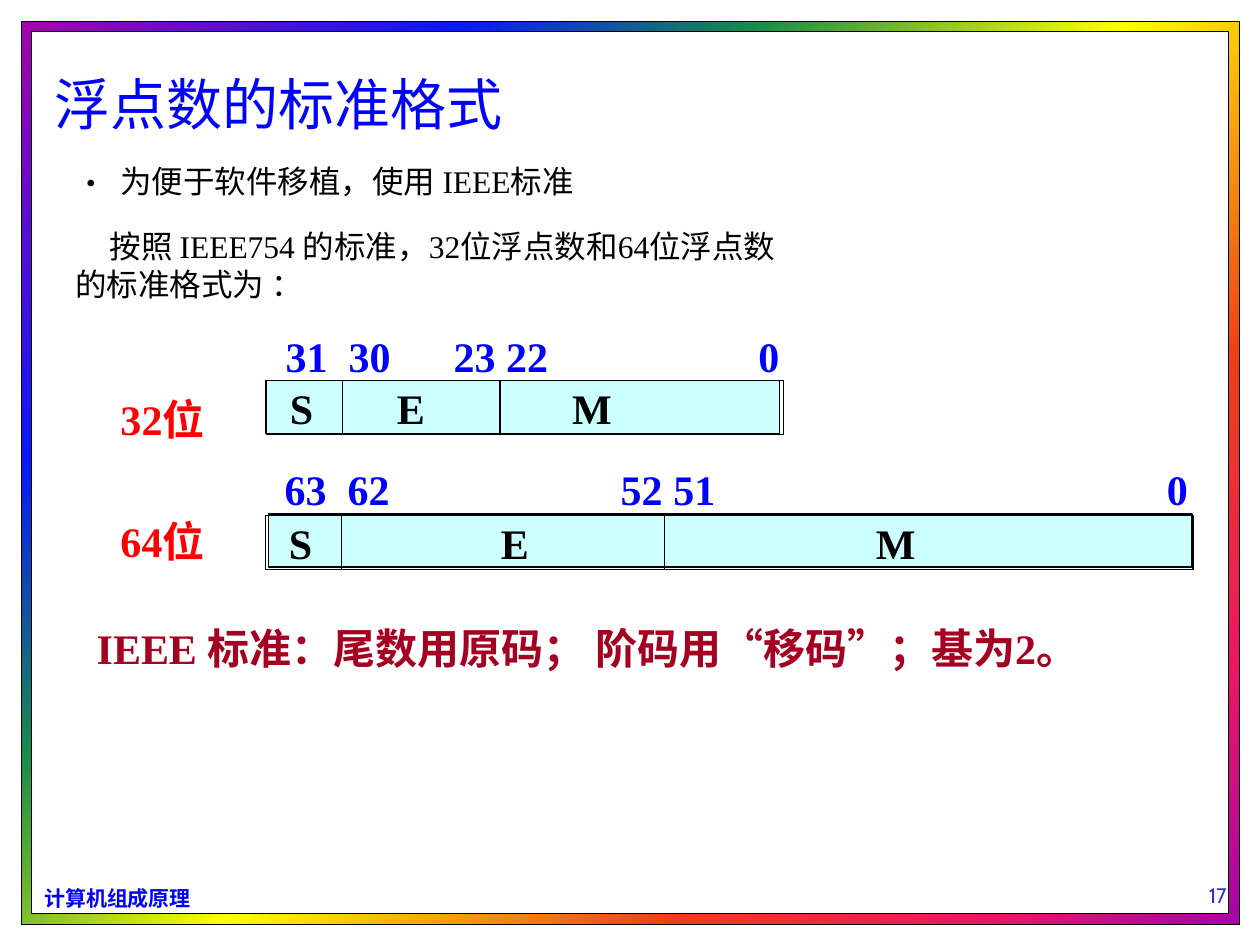
from dataclasses import dataclass

from lxml import etree
from pptx import Presentation
from pptx import util as u
from pptx.dml.color import RGBColor
from pptx.enum import shapes, text
from pptx.oxml.ns import qn

HUES = {"black": "000000", "white": "FFFFFF", "blue": "0000FF",
        "page": "3333CC", "red": "FF0000", "wine": "A50021", "cyan": "CCFFFF"}
RAINBOW = ((0, "A603AB"), (21, "0819FB"), (35, "1A8D48"), (52, "FFFF00"),
           (73, "EE3F17"), (88, "E81766"), (100, "A603AB"))
SERIF, SANS = "Times New Roman", "Noto Sans CJK SC"
STEP = 0.2117  # cm, a quarter of the 24 pt size


@dataclass
class Spot:
    x: float
    y: float
    w: float
    h: float


@dataclass
class Style:
    size: int
    hue: str
    bold: bool = False
    face: str = SERIF


@dataclass
class Mark:
    col: float
    word: str


@dataclass
class Format:
    name: str
    tag: Spot
    fill: Spot
    edge: Spot
    bits: Spot
    cuts: tuple[float, ...]
    nums: tuple[Mark, ...]
    fields: tuple[Mark, ...]


def rgb(hue: str) -> RGBColor:
    return RGBColor.from_string(HUES[hue])


def place(s: Spot) -> tuple:
    return tuple(u.Cm(v) for v in (s.x, s.y, s.w, s.h))


def add_box(slide, spot: Spot, wrap: bool = True):
    frame = slide.shapes.add_textbox(*place(spot)).text_frame
    frame.word_wrap = wrap
    return frame


def add_run(para, words: str, style: Style) -> None:
    run = para.add_run()
    run.text = words
    font = run.font
    font.size, font.bold, font.name = u.Pt(style.size), style.bold, style.face
    font.color.rgb = rgb(style.hue)
    east = etree.SubElement(run._r.get_or_add_rPr(), qn("a:ea"))
    east.set("typeface", SANS)


def add_rect(slide, spot: Spot, hue: str | None = None):
    rect = slide.shapes.add_shape(shapes.MSO_SHAPE.RECTANGLE, *place(spot))
    rect.shadow.inherit = False
    rect.line.color.rgb, rect.line.width = rgb("black"), u.Pt(0.75)
    if hue:
        rect.fill.solid()
        rect.fill.fore_color.rgb = rgb(hue)
    else:
        rect.fill.background()
    return rect


def add_frame(slide) -> None:
    """Draw the rainbow border and the white page inside it."""
    rim = add_rect(slide, Spot(0.43, 0.43, 24.56, 18.21))
    rim.fill.gradient()
    rim.fill.gradient_angle = 315
    stops = rim._element.spPr.find(qn("a:gradFill")).find(qn("a:gsLst"))
    for old in list(stops):
        stops.remove(old)
    for pos, hue in RAINBOW:
        stop = etree.SubElement(stops, qn("a:gs"), pos=str(pos * 1000))
        etree.SubElement(stop, qn("a:srgbClr"), val=hue)
    add_rect(slide, Spot(0.64, 0.64, 24.13, 17.78), "white")


def add_marks(para, marks: tuple[Mark, ...], style: Style) -> None:
    """Set each word at its own tab stop, counted in steps."""
    stops = etree.SubElement(para._p.get_or_add_pPr(), qn("a:tabLst"))
    for mark in marks:
        if mark.col:
            etree.SubElement(stops, qn("a:tab"), algn="l",
                             pos=str(int(u.Cm(mark.col * STEP))))
        add_run(para, "\t" + mark.word if mark.col else mark.word, style)


def add_cut(slide, x: float, edge: Spot) -> None:
    line = slide.shapes.add_connector(
        shapes.MSO_CONNECTOR.STRAIGHT, u.Cm(x), u.Cm(edge.y),
        u.Cm(x), u.Cm(edge.y + edge.h))
    line.line.color.rgb, line.line.width = rgb("black"), u.Pt(0.75)
    etree.SubElement(line._element.spPr, qn("a:effectLst"))


def add_format(slide, form: Format) -> None:
    add_rect(slide, form.fill, "cyan")
    frame = add_rect(slide, form.edge).text_frame
    frame.margin_top = frame.margin_bottom = 0
    frame.vertical_anchor = text.MSO_ANCHOR.MIDDLE
    para = frame.paragraphs[0]
    para.alignment = text.PP_ALIGN.LEFT
    add_marks(para, form.fields, Style(24, "black", True))
    for x in form.cuts:
        add_cut(slide, x, form.edge)
    nums = add_box(slide, form.bits).paragraphs[0]
    add_marks(nums, form.nums, Style(24, "blue", True))
    tag = add_box(slide, form.tag).paragraphs[0]
    add_run(tag, form.name, Style(24, "red", True))


def add_bullet(para, indent: float) -> None:
    props = para._p.get_or_add_pPr()
    props.set("marL", str(int(u.Cm(indent))))
    props.set("indent", str(-int(u.Cm(indent))))
    etree.SubElement(props, qn("a:buFont"), typeface=SANS)
    etree.SubElement(props, qn("a:buChar"), char="•")


FORMATS = (
    Format("32位", Spot(2.18, 7.8, 2.2, 1.27), Spot(5.36, 7.67, 10.36, 1.07),
           Spot(5.38, 7.67, 10.41, 1.09), Spot(5.51, 6.53, 10.46, 1.27),
           (6.91, 10.08),
           (Mark(0, "31"), Mark(6, "30"), Mark(16, "23"), Mark(21, "22"),
            Mark(45, "0")),
           (Mark(1, "S"), Mark(11.2, "E"), Mark(27.9, "M"))),
    Format("64位", Spot(2.18, 10.26, 2.2, 1.27), Spot(5.41, 10.36, 18.62, 1.07),
           Spot(5.36, 10.39, 18.69, 1.09), Spot(5.49, 9.22, 18.72, 1.27),
           (6.88, 13.39),
           (Mark(0, "63"), Mark(6, "62"), Mark(32, "52"), Mark(37, "51"),
            Mark(84, "0")),
           (Mark(1, "S"), Mark(21.2, "E"), Mark(56.9, "M"))),
)


def main() -> None:
    deck = Presentation()
    deck.slide_width, deck.slide_height = u.Cm(25.4), u.Cm(19.05)
    slide = deck.slides.add_slide(deck.slide_layouts[6])
    add_frame(slide)

    foot = add_box(slide, Spot(0.64, 17.73, 3.48, 0.76), False).paragraphs[0]
    add_run(foot, "计算机组成原理", Style(12, "blue", True, SANS))
    page = add_box(slide, Spot(23.7, 17.15, 1.7, 1.27))
    page.vertical_anchor = text.MSO_ANCHOR.BOTTOM
    page.paragraphs[0].alignment = text.PP_ALIGN.CENTER
    add_run(page.paragraphs[0], "17", Style(12, "page", face="Cabin"))

    title = add_box(slide, Spot(0.84, 1.27, 9.58, 1.6), False).paragraphs[0]
    add_run(title, "浮点数的标准格式", Style(32, "blue", face=SANS))

    plain = Style(18, "black")
    point = add_box(slide, Spot(1.27, 3.15, 13.69, 1.27)).paragraphs[0]
    add_bullet(point, 0.91)
    add_run(point, "为便于软件移植，使用 IEEE标准", plain)

    body = add_box(slide, Spot(0.84, 4.45, 23.7, 2.29))
    lines = ((1.12, "按照 IEEE754 的标准，32位浮点数和64位浮点数"),
             (0.43, "的标准格式为 ："))
    for i, (indent, words) in enumerate(lines):
        para = body.add_paragraph() if i else body.paragraphs[0]
        para._p.get_or_add_pPr().set("marL", str(int(u.Cm(indent))))
        add_run(para, words, plain)

    for form in FORMATS:
        add_format(slide, form)

    rule = add_box(slide, Spot(1.7, 12.42, 21.79, 1.47)).paragraphs[0]
    add_run(rule, "IEEE 标准：尾数用原码； 阶码用“移码”；基为2。",
            Style(24, "wine", True))
    deck.save("out.pptx")


if __name__ == "__main__":
    main()
